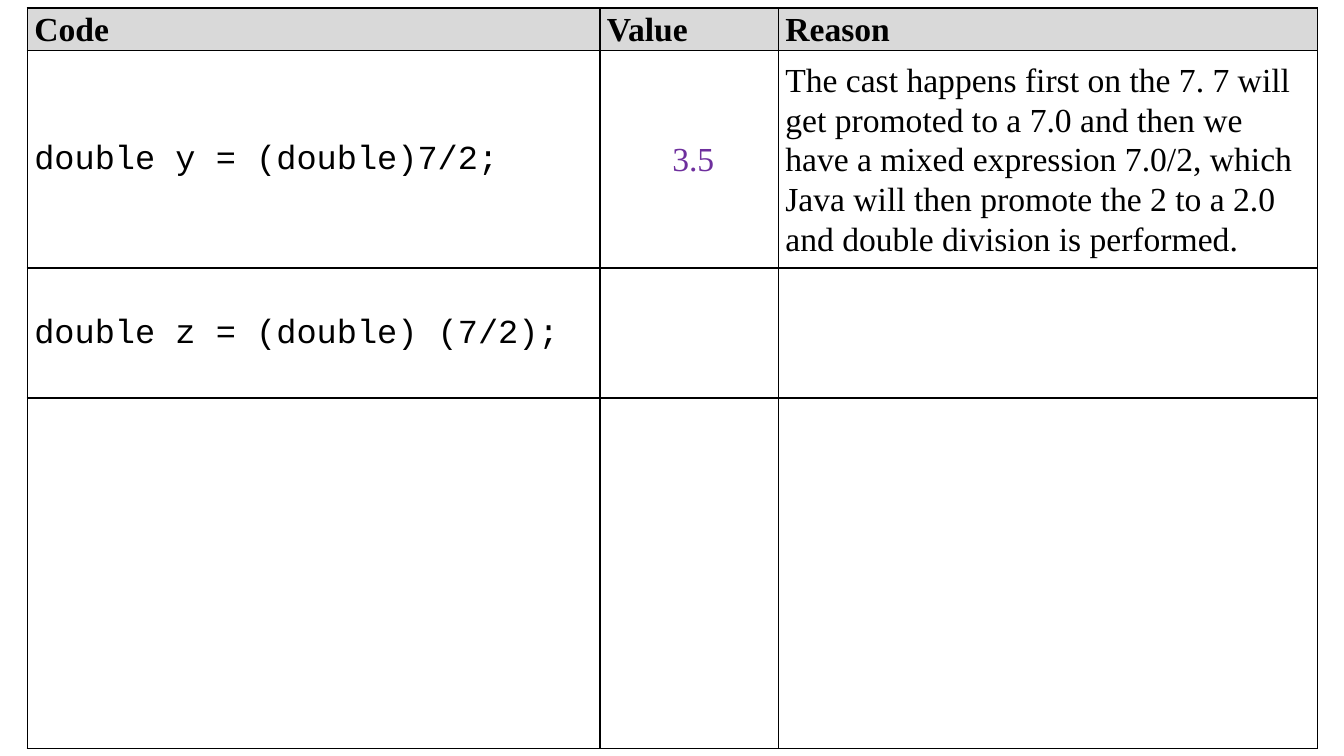
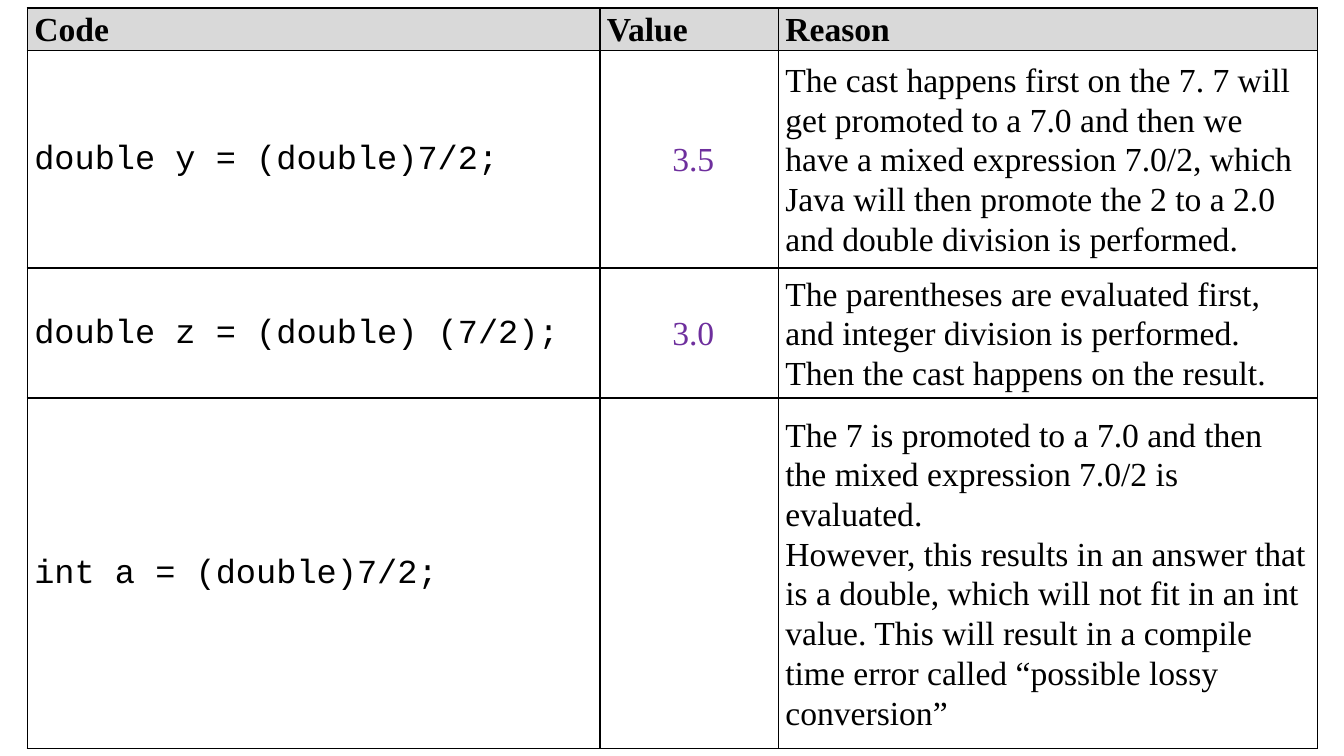
from lxml.etree import SubElement
from pptx import Presentation
from pptx.dml.color import RGBColor
from pptx.enum.text import MSO_ANCHOR, PP_ALIGN
from pptx.oxml.ns import qn
from pptx.util import Emu, Pt

EMU_PER_PX = 9144  # 100 px to the inch
BLACK, GREY, PURPLE = "000000", "D9D9D9", "6E2F9D"
SERIF, MONO = "Times New Roman", "Courier New"

TABLE_LEFT, TABLE_TOP = 27, 8
COLUMN_WIDTHS = [568, 177, 535]
ROW_HEIGHTS = [42, 216, 129, 348]
CELL_MARGINS = {"margin_left": 7, "margin_right": 7, "margin_top": 0, "margin_bottom": 0}

HEADER_FORMAT = {"name": SERIF, "bold": True, "color": BLACK}
COLUMN_FORMATS = [
    {"name": MONO, "color": BLACK},
    {"name": SERIF, "color": PURPLE, "align": PP_ALIGN.CENTER},
    {"name": SERIF, "color": BLACK},
]

# Table contents: one list of paragraphs per cell
HEADER = [["Code"], ["Value"], ["Reason"]]
CAST_FIRST = [
    ["double y = (double)7/2;"],
    [" 3.5"],
    ["The cast happens first on the 7. 7 will get promoted to a 7.0 and then we "
     "have a mixed expression 7.0/2, which Java will then promote the 2 to a 2.0 "
     "and double division is performed."],
]
CAST_LAST_CODE = ["double z = (double) (7/2);"]
CAST_LAST = [
    CAST_LAST_CODE,
    [" 3.0"],
    ["The parentheses are evaluated first, and integer division is performed. "
     "Then the cast happens on the result."],
]
LOSSY_CAST = [
    ["int a = (double)7/2;"],
    [],
    ["The 7 is promoted to a 7.0 and then the mixed expression 7.0/2 is evaluated.",
     "However, this results in an answer that is a double, which will not fit in an "
     "int value. This will result in a compile time error called “possible lossy "
     "conversion”"],
]
SLIDES = [
    [HEADER, CAST_FIRST, [CAST_LAST_CODE, [], []], [[], [], []]],
    [HEADER, CAST_FIRST, CAST_LAST, LOSSY_CAST],
]


def px(length):
    return Emu(length * EMU_PER_PX)


def rgb(color):
    return RGBColor.from_string(color)


def add_borders(cell, color=BLACK, width=1):
    properties = cell._tc.get_or_add_tcPr()
    for side in ("lnL", "lnR", "lnT", "lnB"):
        line = SubElement(properties, qn(f"a:{side}"), w=str(Pt(width)))
        fill = SubElement(line, qn("a:solidFill"))
        SubElement(fill, qn("a:srgbClr"), val=color)


def write_paragraph(paragraph, text, style):
    paragraph.text = text
    paragraph.line_spacing = 1.07
    paragraph.alignment = style.get("align", PP_ALIGN.LEFT)
    font = paragraph.runs[0].font
    for name, value in {"name": style["name"], "size": Pt(24),
                        "bold": style.get("bold", False)}.items():
        setattr(font, name, value)
    font.color.rgb = rgb(style["color"])


def fill_cell(cell, texts, style, background=None):
    for name, margin in CELL_MARGINS.items():
        setattr(cell, name, px(margin))
    cell.vertical_anchor = MSO_ANCHOR.MIDDLE
    # Borders come before the fill in the cell properties
    add_borders(cell)
    if background:
        cell.fill.solid()
        cell.fill.fore_color.rgb = rgb(background)
    else:
        cell.fill.background()
    frame = cell.text_frame
    for index, text in enumerate(texts):
        paragraph = frame.add_paragraph() if index else frame.paragraphs[0]
        write_paragraph(paragraph, text, style)


def add_code_table(slide, rows):
    table = slide.shapes.add_table(
        len(ROW_HEIGHTS), len(COLUMN_WIDTHS), px(TABLE_LEFT), px(TABLE_TOP),
        px(sum(COLUMN_WIDTHS)), px(sum(ROW_HEIGHTS))).table
    table.first_row = table.horz_banding = False
    for column, width in zip(table.columns, COLUMN_WIDTHS):
        column.width = px(width)
    for row, height in zip(table.rows, ROW_HEIGHTS):
        row.height = px(height)
    for row_index, row in enumerate(rows):
        for column_index, texts in enumerate(row):
            is_header = row_index == 0
            fill_cell(table.cell(row_index, column_index), texts,
                      HEADER_FORMAT if is_header else COLUMN_FORMATS[column_index],
                      GREY if is_header else None)


def main():
    presentation = Presentation()
    presentation.slide_width, presentation.slide_height = px(1333), px(750)
    blank_layout = presentation.slide_layouts[6]
    for rows in SLIDES:
        add_code_table(presentation.slides.add_slide(blank_layout), rows)
    presentation.save("out.pptx")


if __name__ == "__main__":
    main()
